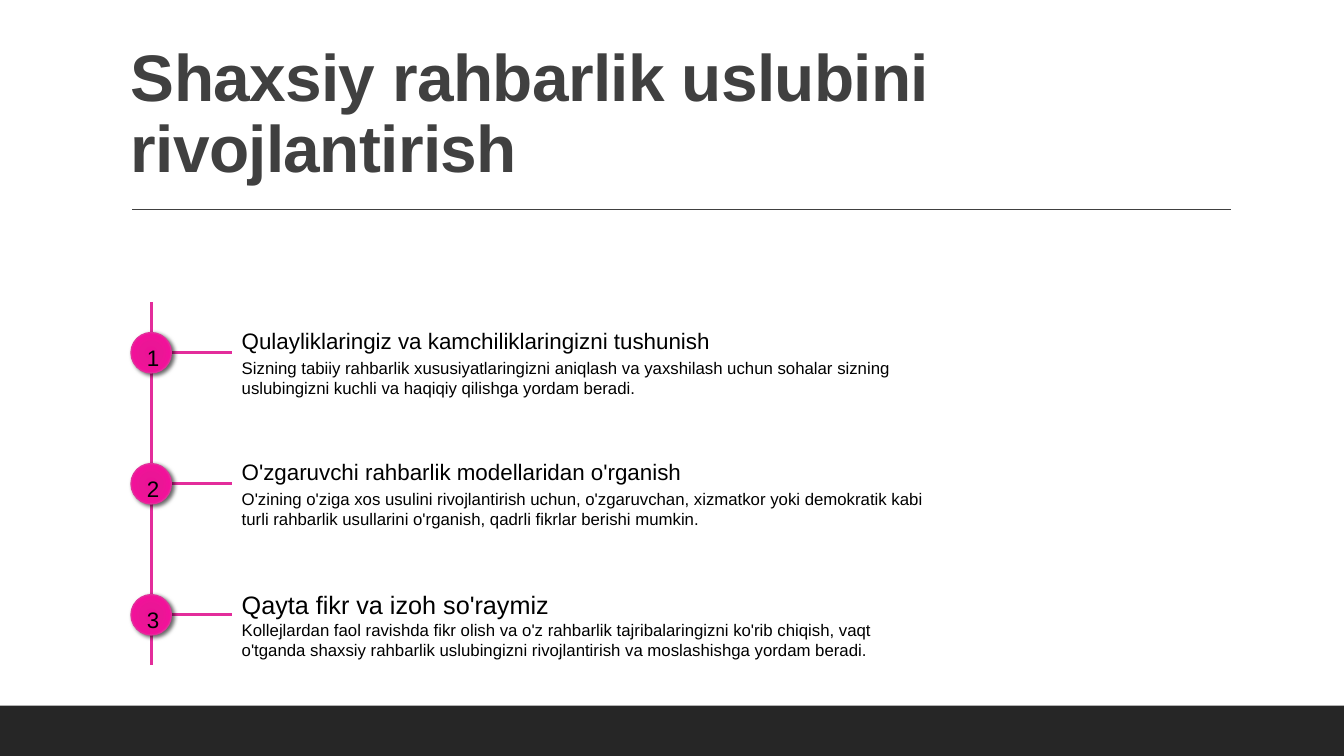
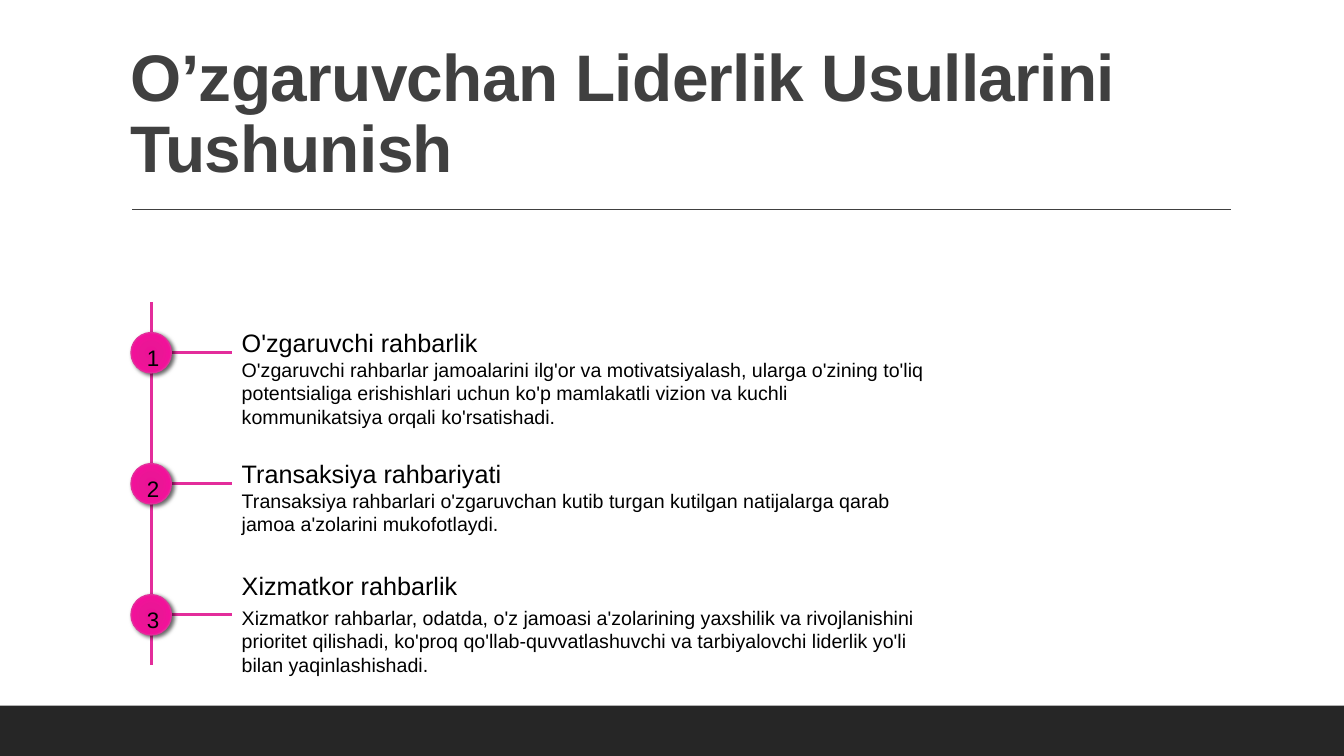
from dataclasses import dataclass

from lxml.etree import SubElement
from pptx import Presentation
from pptx.dml.color import RGBColor
from pptx.enum.shapes import MSO_CONNECTOR, MSO_SHAPE
from pptx.enum.text import MSO_ANCHOR, MSO_AUTO_SIZE
from pptx.oxml import parse_xml
from pptx.oxml.ns import nsdecls, qn
from pptx.util import Inches, Pt

CELL = 0.1
COLUMNS, ROWS = 133.33, 75
FONT = "Arial"
BLACK, DARK, BAND, PINK = "000000", "404040", "262626", "E32D9B"
BADGE_STOPS = ((0, "ED1096"), (34, "EB1596"), (70, "F3119A"), (100, "EC249D"))
AXIS_COLUMN, TEXT_COLUMN, TEXT_WIDTH = 15, 23, 70
AXIS_TOP, AXIS_BOTTOM = 30, 66
FIRST_ROW, ROW_STEP = 35, 13
BADGE_SIZE, NUMBER_SIZE = 4, 2.8


@dataclass
class Step:
    heading: str
    body: str
    heading_size: int = 18
    body_size: int = 14
    heading_shift: float = -3
    body_shift: float = 0


def grid(*cells):
    return [Inches(cell * CELL) for cell in cells]


def color(value):
    return RGBColor.from_string(value)


def write(frame, text, size=16, fill=BLACK, bold=False, spacing=None, line_spacing=None):
    paragraph = frame.paragraphs[0]
    paragraph.line_spacing = line_spacing
    run = paragraph.add_run()
    run.text = text
    run.font.name = FONT
    run.font.size = Pt(size)
    run.font.bold = bold
    run.font.color.rgb = color(fill)
    if spacing is not None:
        run.font._element.set("spc", str(round(spacing * 100)))


class Deck:
    def __init__(self):
        self.presentation = Presentation()
        self.presentation.slide_width, self.presentation.slide_height = grid(COLUMNS, ROWS)
        self.slide = None

    def add_slide(self, title):
        self.slide = self.presentation.slides.add_slide(self.presentation.slide_layouts[6])
        self.band(0, 70, COLUMNS, 5)
        self.line(13.1, 20.8, 122.1, 20.8, DARK, 1)
        self.text(title, 12, 3.1, 110, 15.9, anchor=MSO_ANCHOR.BOTTOM, grow=False,
                  size=47, fill=DARK, bold=True, spacing=-0.5, line_spacing=0.9)

    def band(self, left, top, width, height):
        shape = self.slide.shapes.add_shape(MSO_SHAPE.RECTANGLE, *grid(left, top, width, height))
        shape.shadow.inherit = False
        shape.fill.solid()
        shape.fill.fore_color.rgb = color(BAND)
        shape.line.fill.background()

    def line(self, left, top, right, bottom, stroke=PINK, weight=2):
        connector = self.slide.shapes.add_connector(
            MSO_CONNECTOR.STRAIGHT, *grid(left, top, right, bottom))
        connector.line.color.rgb = color(stroke)
        connector.line.width = Pt(weight)
        SubElement(connector._element.spPr, qn("a:effectLst"))

    def text(self, text, left, top, width, height, anchor=MSO_ANCHOR.TOP, grow=True, **style):
        frame = self.slide.shapes.add_textbox(*grid(left, top, width, height)).text_frame
        frame.word_wrap = True
        frame.vertical_anchor = anchor
        frame.auto_size = MSO_AUTO_SIZE.SHAPE_TO_FIT_TEXT if grow else MSO_AUTO_SIZE.NONE
        write(frame, text, **style)

    def badge(self, number, row):
        left, top = AXIS_COLUMN - BADGE_SIZE / 2, row - BADGE_SIZE / 2
        shape = self.slide.shapes.add_shape(
            MSO_SHAPE.OVAL, *grid(left, top, BADGE_SIZE, BADGE_SIZE))
        shape.line.color.rgb = color(PINK)
        shape.line.width = Pt(1)
        stops = "".join(f'<a:gs pos="{stop * 1000}"><a:srgbClr val="{value}"/></a:gs>'
                        for stop, value in BADGE_STOPS)
        properties = shape._element.spPr
        properties.find(qn("a:prstGeom")).addnext(parse_xml(
            f'<a:gradFill {nsdecls("a")}><a:gsLst>{stops}</a:gsLst><a:path path="circle">'
            '<a:fillToRect l="100000" t="100000" r="100000" b="100000"/></a:path></a:gradFill>'))
        shape.shadow.inherit = False
        properties.find(qn("a:effectLst")).append(parse_xml(
            f'<a:outerShdw {nsdecls("a")} blurRad="{Pt(3)}" dist="{Pt(2)}" dir="2700000">'
            f'<a:srgbClr val="{BLACK}"><a:alpha val="60000"/></a:srgbClr></a:outerShdw>'))
        inset = (BADGE_SIZE - NUMBER_SIZE) / 2
        self.text(str(number), left + inset, top + inset, NUMBER_SIZE, NUMBER_SIZE)

    def timeline(self, steps):
        self.line(AXIS_COLUMN, AXIS_TOP, AXIS_COLUMN, AXIS_BOTTOM)
        for index, step in enumerate(steps):
            row = FIRST_ROW + index * ROW_STEP
            self.line(AXIS_COLUMN, row, TEXT_COLUMN, row)
            self.badge(index + 1, row)
            self.text(step.heading, TEXT_COLUMN, row + step.heading_shift, TEXT_WIDTH, 3,
                      size=step.heading_size)
            self.text(step.body, TEXT_COLUMN, row + step.body_shift, TEXT_WIDTH, 5,
                      size=step.body_size)


SLIDES = {
    "Shaxsiy rahbarlik uslubini rivojlantirish": (
        Step("Qulayliklaringiz va kamchiliklaringizni tushunish",
             "Sizning tabiiy rahbarlik xususiyatlaringizni aniqlash va yaxshilash uchun sohalar "
             "sizning uslubingizni kuchli va haqiqiy qilishga yordam beradi.",
             heading_size=16, body_size=12),
        Step("O'zgaruvchi rahbarlik modellaridan o'rganish",
             "O'zining o'ziga xos usulini rivojlantirish uchun, o'zgaruvchan, xizmatkor yoki "
             "demokratik kabi turli rahbarlik usullarini o'rganish, qadrli fikrlar berishi mumkin.",
             heading_size=16, body_size=12),
        Step("Qayta fikr va izoh so'raymiz",
             "Kollejlardan faol ravishda fikr olish va o'z rahbarlik tajribalaringizni ko'rib "
             "chiqish, vaqt o'tganda shaxsiy rahbarlik uslubingizni rivojlantirish va "
             "moslashishga yordam beradi.",
             body_size=12),
    ),
    "O’zgaruvchan Liderlik Usullarini Tushunish": (
        Step("O'zgaruvchi rahbarlik",
             "O'zgaruvchi rahbarlar jamoalarini ilg'or va motivatsiyalash, ularga o'zining to'liq "
             "potentsialiga erishishlari uchun ko'p mamlakatli vizion va kuchli kommunikatsiya "
             "orqali ko'rsatishadi."),
        Step("Transaksiya rahbariyati",
             "Transaksiya rahbarlari o'zgaruvchan kutib turgan kutilgan natijalarga qarab jamoa "
             "a'zolarini mukofotlaydi."),
        Step("Xizmatkor rahbarlik",
             "Xizmatkor rahbarlar, odatda, o'z jamoasi a'zolarining yaxshilik va rivojlanishini "
             "prioritet qilishadi, ko'proq qo'llab-quvvatlashuvchi va tarbiyalovchi liderlik "
             "yo'li bilan yaqinlashishadi.",
             heading_shift=-4.9, body_shift=-1.4),
    ),
}


def main():
    deck = Deck()
    for title, steps in SLIDES.items():
        deck.add_slide(title)
        deck.timeline(steps)
    deck.presentation.save("out.pptx")


if __name__ == "__main__":
    main()
